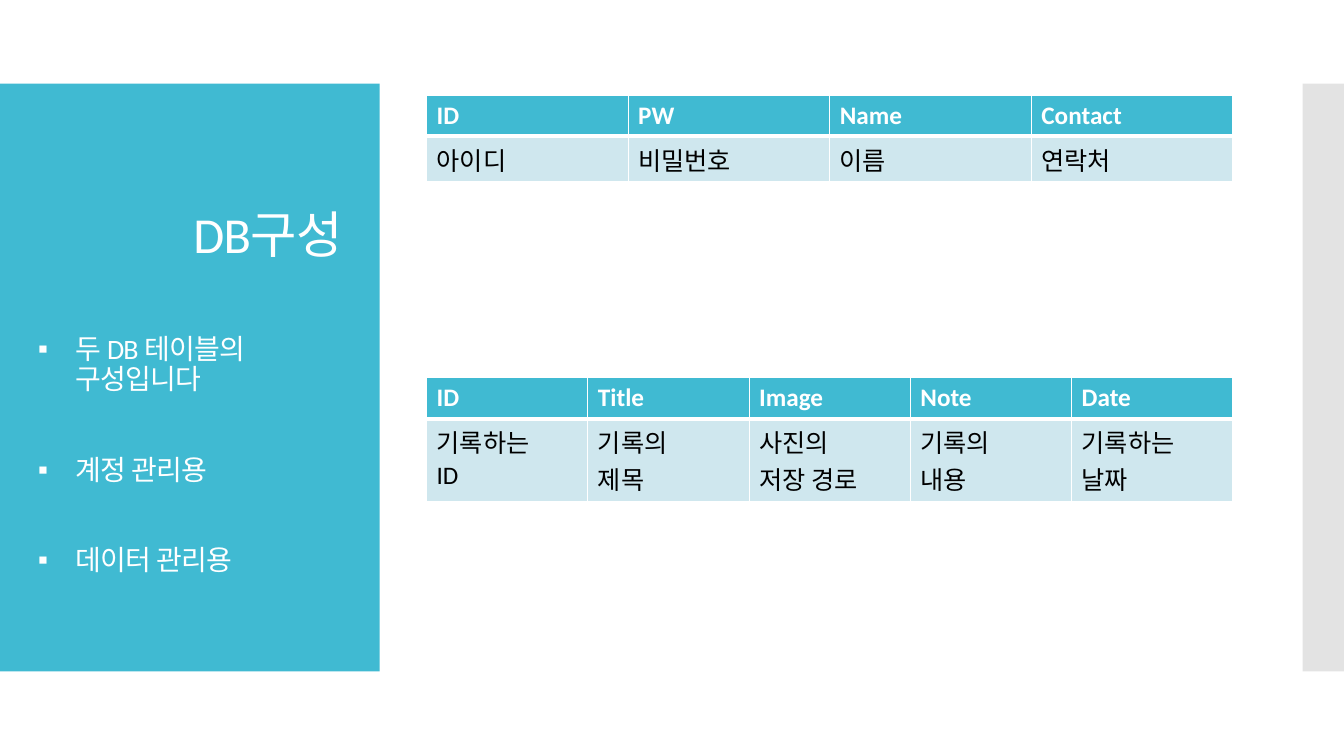
from dataclasses import dataclass

from lxml.etree import SubElement
from pptx import Presentation
from pptx.dml.color import RGBColor
from pptx.enum.shapes import MSO_SHAPE
from pptx.enum.text import MSO_ANCHOR, PP_ALIGN
from pptx.oxml.ns import qn
from pptx.slide import Slide
from pptx.table import _Cell
from pptx.text.text import TextFrame, _Paragraph
from pptx.util import Cm, Pt

TEAL = RGBColor(0x40, 0xBA, 0xD2)
PALE_TEAL = RGBColor(0xCF, 0xE7, 0xEE)
GREY = RGBColor(0xC8, 0xC8, 0xC8)
WHITE = RGBColor(0xFF, 0xFF, 0xFF)
BLACK = RGBColor(0x00, 0x00, 0x00)

SLIDE_WIDTH, SLIDE_HEIGHT = 33.87, 19.05
TABLE_LEFT, TABLE_WIDTH, HEADER_HEIGHT = 10.75, 20.32, 1.03


@dataclass
class Panel:
    left: float
    width: float
    colour: RGBColor
    opacity: int = 100


@dataclass
class DbTable:
    top: float
    body_height: float
    fields: list[str]
    meanings: list[str]


PANELS = [
    Panel(0, 9.57, TEAL),
    Panel(32.83, 1.04, GREY, opacity=50),
]
DB_TABLES = [
    DbTable(2.4, 1.15, ["ID", "PW", "Name", "Contact"],
            ["아이디", "비밀번호", "이름", "연락처"]),
    DbTable(9.52, 2.08, ["ID", "Title", "Image", "Note", "Date"],
            ["기록하는\nID", "기록의\n제목", "사진의\n저장 경로",
             "기록의\n내용", "기록하는\n날짜"]),
]
POINTS = "두 DB 테이블의\v구성입니다\n계정 관리용\n데이터 관리용"


def write(frame: TextFrame, text: str, *, size: float, colour: RGBColor,
          bold: bool = False, align: PP_ALIGN = PP_ALIGN.LEFT,
          line_spacing: float = 1.0, gap: float = 0,
          tracking: float = 0, bullet: str = "") -> None:
    frame.word_wrap = True
    frame.text = text
    for position, paragraph in enumerate(frame.paragraphs):
        paragraph.alignment = align
        paragraph.line_spacing = line_spacing
        paragraph.space_before = Pt(gap if position else 0)
        if bullet:
            add_bullet(paragraph, bullet)
        for run in paragraph.runs:
            run.font.name = "Calibri"
            run.font.size = Pt(size)
            run.font.bold = bold
            run.font.color.rgb = colour
            if tracking:
                run.font._element.set("spc", str(round(tracking * 100)))


def add_bullet(paragraph: _Paragraph, symbol: str) -> None:
    properties = paragraph._p.get_or_add_pPr()
    properties.set("marL", str(Cm(0.95)))
    properties.set("indent", str(-Cm(0.95)))
    SubElement(properties, qn("a:buFont"), typeface="Calibri")
    SubElement(properties, qn("a:buChar"), char=symbol)


def draw_panel(slide: Slide, panel: Panel) -> None:
    band = slide.shapes.add_shape(MSO_SHAPE.RECTANGLE, Cm(panel.left), Cm(2.11),
                                  Cm(panel.width), Cm(14.81))
    band.shadow.inherit = False
    band.line.fill.background()
    band.fill.solid()
    band.fill.fore_color.rgb = panel.colour
    if panel.opacity < 100:
        colour = band.fill._xPr.find(f".//{qn('a:srgbClr')}")
        SubElement(colour, qn("a:alpha"), val=str(panel.opacity * 1000))


def add_side_text(slide: Slide, top: float, height: float) -> TextFrame:
    frame = slide.shapes.add_textbox(Cm(0.71), Cm(top), Cm(8.18), Cm(height)).text_frame
    frame.vertical_anchor = MSO_ANCHOR.MIDDLE
    return frame


def style_cell(cell: _Cell, fill: RGBColor, top: float, bottom: float) -> None:
    properties = cell._tc.get_or_add_tcPr()
    for edge, width in {"lnL": 1, "lnR": 1, "lnT": top, "lnB": bottom}.items():
        border = SubElement(properties, qn(f"a:{edge}"), w=str(Pt(width)))
        SubElement(SubElement(border, qn("a:solidFill")), qn("a:srgbClr"), val=str(WHITE))
    cell.fill.solid()
    cell.fill.fore_color.rgb = fill


def draw_table(slide: Slide, db: DbTable) -> None:
    count = len(db.fields)
    table = slide.shapes.add_table(2, count, Cm(TABLE_LEFT), Cm(db.top), Cm(TABLE_WIDTH),
                                   Cm(HEADER_HEIGHT + db.body_height)).table
    for row, height in zip(table.rows, (HEADER_HEIGHT, db.body_height)):
        row.height = Cm(height)
    for column in table.columns:
        column.width = Cm(TABLE_WIDTH / count)
    for index, (field, meaning) in enumerate(zip(db.fields, db.meanings)):
        header, body = table.cell(0, index), table.cell(1, index)
        write(header.text_frame, field, size=18, colour=WHITE, bold=True)
        style_cell(header, TEAL, top=1, bottom=3)
        write(body.text_frame, meaning, size=18, colour=BLACK)
        style_cell(body, PALE_TEAL, top=3, bottom=1)


def main() -> None:
    deck = Presentation()
    deck.slide_width, deck.slide_height = Cm(SLIDE_WIDTH), Cm(SLIDE_HEIGHT)
    slide = deck.slides.add_slide(deck.slide_layouts[6])
    for panel in PANELS:
        draw_panel(slide, panel)
    title = add_side_text(slide, top=3.12, height=12.78)
    title.margin_top, title.margin_bottom = 0, Cm(7.04)
    write(title, "DB구성", size=36, colour=WHITE, align=PP_ALIGN.RIGHT,
          line_spacing=0.9, tracking=-0.6)
    for db in DB_TABLES:
        draw_table(slide, db)
    points = add_side_text(slide, top=6.35, height=10.29)
    write(points, POINTS, size=20, colour=WHITE, line_spacing=0.9, gap=43,
          tracking=-0.6, bullet="▪")
    deck.save("out.pptx")


if __name__ == "__main__":
    main()
